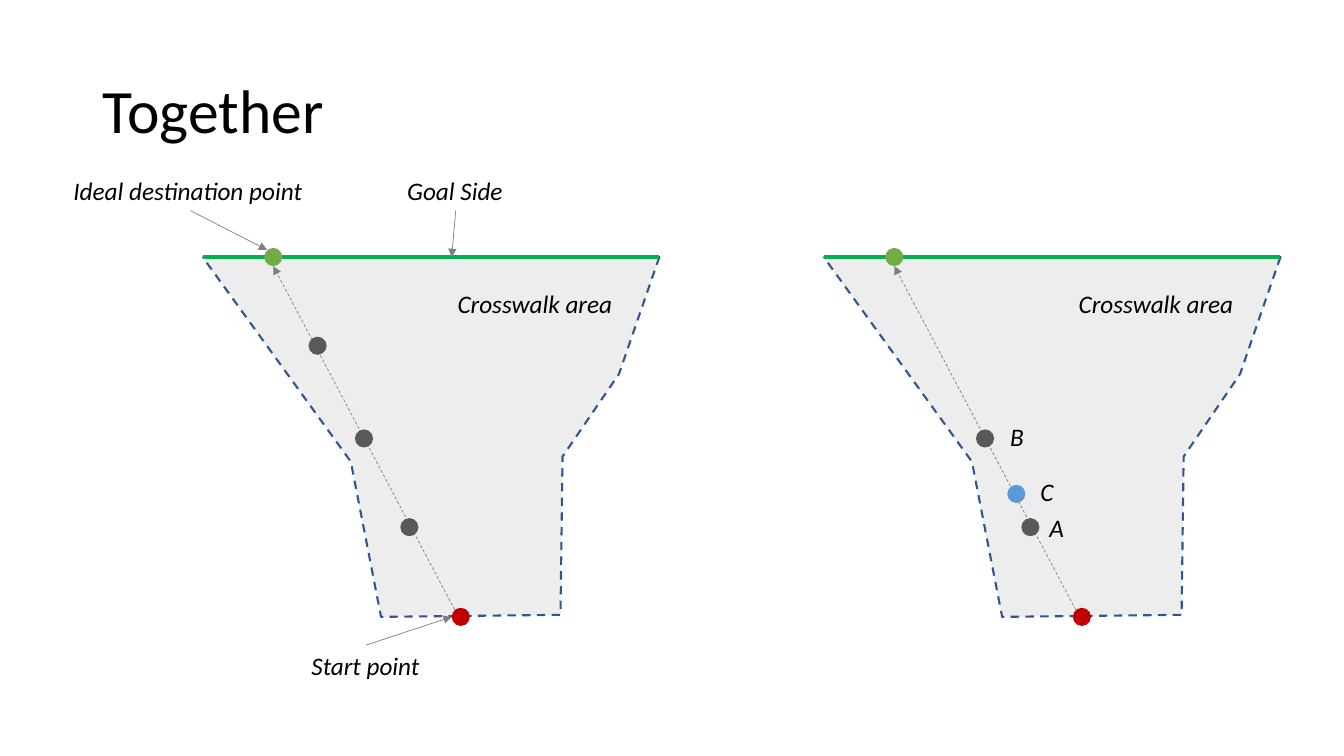
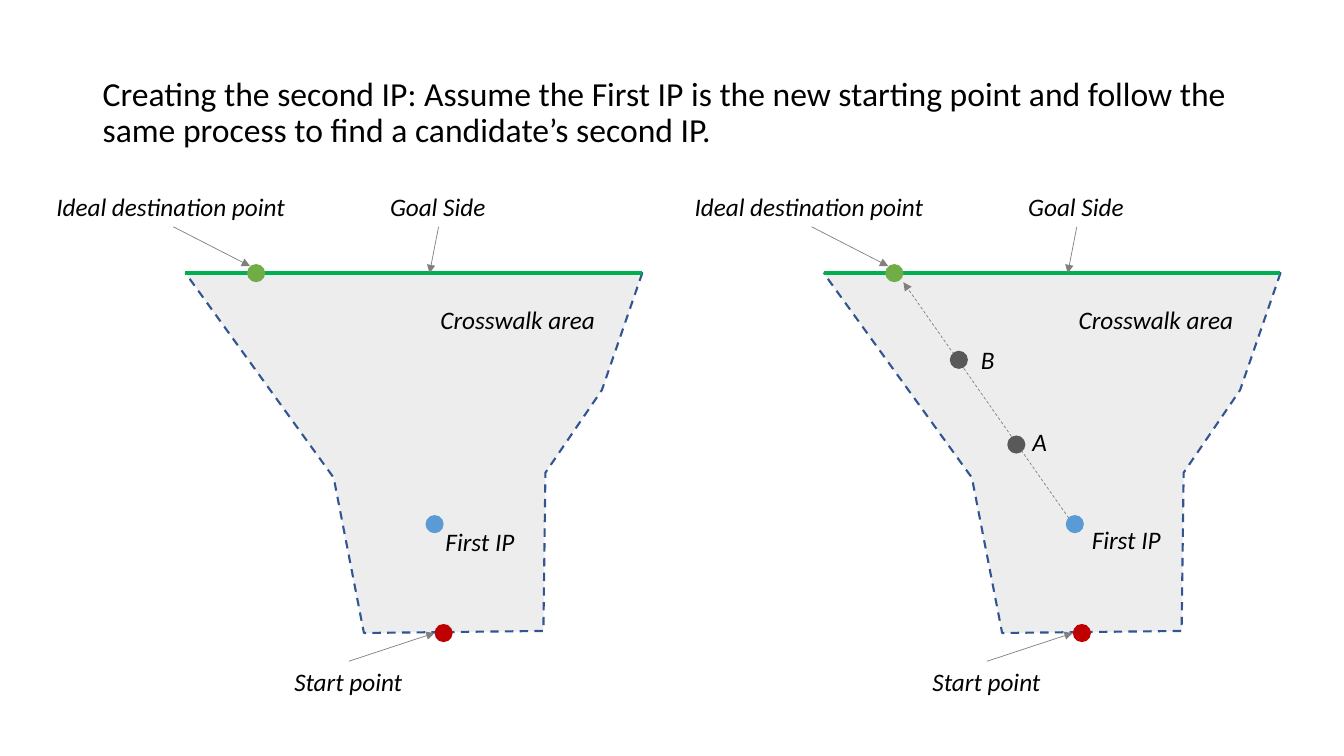
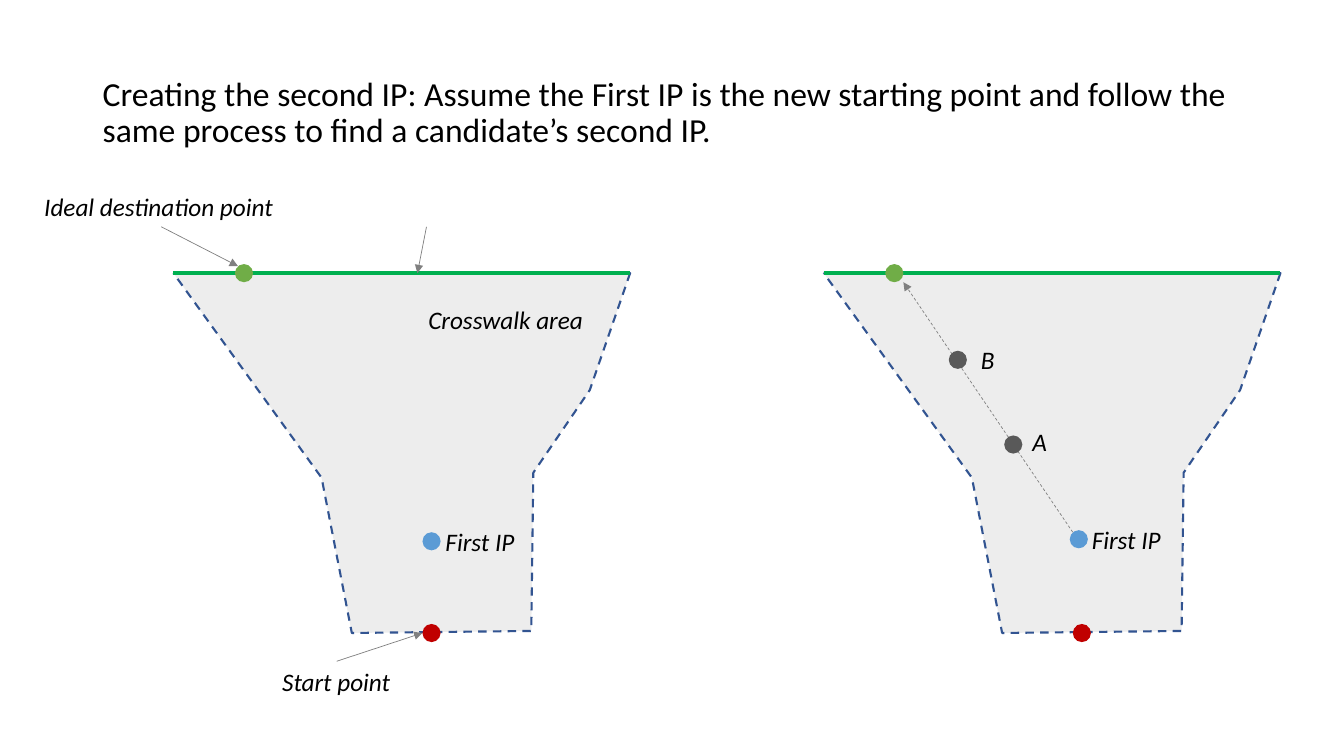
from lxml import etree
from pptx import Presentation
from pptx.dml.color import RGBColor
from pptx.enum.dml import MSO_LINE
from pptx.enum.shapes import MSO_CONNECTOR, MSO_SHAPE
from pptx.enum.text import MSO_ANCHOR, MSO_AUTO_SIZE, PP_ALIGN
from pptx.oxml.ns import qn
from pptx.util import Inches, Pt

DASH = MSO_LINE.DASH
LINE = MSO_CONNECTOR.STRAIGHT
OVAL = MSO_SHAPE.OVAL
MIDDLE = MSO_ANCHOR.MIDDLE
GROW = MSO_AUTO_SIZE.SHAPE_TO_FIT_TEXT
LEFT, CENTER = PP_ALIGN.LEFT, PP_ALIGN.CENTER

BLACK, GRAY, DARK = "000000", "808080", "595959"
RED, GREEN, LIME, BLUE = "C00000", "00B050", "70AD47", "5B9BD5"
NAVY, PALE = "325491", "EDEDED"

DOT = 0.18
WIDE = 4.53
RIGHT = 8.17
AREA = [(0, 0), (WIDE, 0), (4.13, 1.16), (3.57, 1.98),
        (3.55, 3.55), (1.77, 3.57), (1.47, 2.03)]
HEAD = {"wrap": True, "frame": {"vertical_anchor": MIDDLE},
        "para": {"line_spacing": 0.9}, "font": {"name": "Calibri"}}
NOTE = {"wrap": False, "frame": {"auto_size": GROW}, "para": {"alignment": LEFT},
        "font": {"name": "Calibri", "size": Pt(18), "italic": True}}
MID = {**NOTE, "para": {"alignment": CENTER}}

TAGS = {
    "Start point": (0.98, 3.85, 1.29, NOTE),
    "Crosswalk area": (2.42, 0.26, 1.75, MID),
    "Goal Side": (1.93, -0.86, 1.16, NOTE),
    "Ideal destination point": (-1.38, -0.86, 2.52, NOTE),
}
START, CROSS, GOAL, IDEAL = TAGS
ARROWS = {
    START: ((1.62, 3.85), (2.47, 3.57)),
    GOAL: ((2.51, -0.46), (2.42, 0)),
    IDEAL: ((-0.12, -0.46), (0.64, -0.07)),
}
ALL = [START, CROSS, GOAL, IDEAL]
POINTS = [START, GOAL, IDEAL]
SECOND = ("Creating the second IP: Assume the First IP is the new starting point "
          "and follow the same process to find a candidate’s second IP.")
RAY = ((2.5, 3.5), (0.7, 0.09))
NEXT = [("A", 1.97, 1.47, 0.35), ("B", 1.46, 0.66, 0.34), ("First IP", 2.56, 2.44, 0.89)]

SLIDES = [
    {"title": "Together", "size": 44, "top": 2.55, "tip": 2.47, "panels": [
        {"left": 2.01, "tags": ALL, "arrows": POINTS, "ray": RAY, "notes": [],
         "dots": [(1.96, 2.59, DARK), (1.51, 1.71, DARK), (1.05, 0.79, DARK)]},
        {"left": RIGHT, "tags": [CROSS], "arrows": [], "ray": RAY,
         "notes": [("A", 2.14, 2.48, 0.35), ("B", 1.75, 1.58, 0.34), ("C", 2.05, 2.13, 0.33)],
         "dots": [(1.96, 2.59, DARK), (1.51, 1.71, DARK), (1.82, 2.26, BLUE)]},
    ]},
    {"title": SECOND, "size": 24, "top": 2.71, "tip": 2.42, "panels": [
        {"left": 1.84, "tags": ALL, "arrows": POINTS, "ray": None,
         "notes": [("First IP", 2.48, 2.46, 0.89)], "dots": [(2.38, 2.4, BLUE)]},
        {"left": RIGHT, "tags": ALL, "arrows": POINTS,
         "ray": ((2.43, 2.43), (0.79, 0.09)), "notes": NEXT,
         "dots": [(1.82, 1.61, DARK), (1.25, 0.77, DARK), (2.4, 2.4, BLUE)]},
    ]},
    {"title": SECOND, "size": 24, "top": 2.71, "tip": 2.42, "panels": [
        {"left": 1.72, "tags": [START, CROSS, IDEAL], "arrows": POINTS, "ray": None,
         "notes": [("First IP", 2.6, 2.46, 0.89)], "dots": [(2.47, 2.57, BLUE)]},
        {"left": RIGHT, "tags": [], "arrows": [],
         "ray": ((2.47, 2.57), (0.79, 0.09)), "notes": NEXT,
         "dots": [(1.79, 1.61, DARK), (1.24, 0.77, DARK), (2.44, 2.55, BLUE)]},
    ]},
]


def tint(part, code):
    if hasattr(part, "solid"):
        part.solid()
        part = part.fore_color
    else:
        part = part.color
    part.rgb = RGBColor.from_string(code)


def link(slide, ends, code, width, dash=None, arrow=True):
    points = [Inches(n) for end in ends for n in end]
    wire = slide.shapes.add_connector(LINE, *points)
    tint(wire.line, code)
    wire.line.width = Pt(width)
    if dash:
        wire.line.dash_style = dash
    props = wire._element.spPr
    if arrow:
        etree.SubElement(props.find(qn("a:ln")), qn("a:tailEnd"), type="triangle")
    etree.SubElement(props, qn("a:effectLst"))


deck = Presentation()
deck.slide_width, deck.slide_height = Inches(13.33), Inches(7.5)

for page in SLIDES:
    slide = deck.slides.add_slide(deck.slide_layouts[6])
    shapes = slide.shapes
    top = page["top"]
    head = {**HEAD, "font": {**HEAD["font"], "size": Pt(page["size"])}}
    texts = [(page["title"], 0.92, 0.4, 11.5, 1.45, head)]

    for panel in page["panels"]:
        left = panel["left"]
        edge = [(Inches(left + x), Inches(top + y)) for x, y in AREA]
        pen = shapes.build_freeform(*edge[0])
        pen.add_line_segments(edge[1:], close=True)
        area = pen.convert_to_shape()
        area.shadow.inherit = False
        tint(area.fill, PALE)
        tint(area.line, NAVY)
        area.line.width = Pt(1.5)
        area.line.dash_style = DASH
        link(slide, ((left, top), (left + WIDE, top)), GREEN, 3, arrow=False)

        lines = [(ARROWS[name], None) for name in panel["arrows"]]
        if panel["ray"]:
            lines.append((panel["ray"], DASH))
        for ends, dash in lines:
            if ends == ARROWS[GOAL]:
                ends = (ends[0], (page["tip"], 0))
            link(slide, [(left + x, top + y) for x, y in ends], GRAY, 0.5, dash)

        for x, y, code in [(2.47, 3.48, RED), (0.61, -0.09, LIME)] + panel["dots"]:
            dot = shapes.add_shape(OVAL, Inches(left + x), Inches(top + y), Inches(DOT), Inches(DOT))
            dot.shadow.inherit = False
            tint(dot.fill, code)
            dot.line.fill.background()

        notes = [(name, *TAGS[name]) for name in panel["tags"]]
        notes += [(*note, NOTE) for note in panel["notes"]]
        texts += [(text, left + x, top + y, w, 0.4, style) for text, x, y, w, style in notes]

    for text, x, y, w, h, style in texts:
        box = shapes.add_textbox(Inches(x), Inches(y), Inches(w), Inches(h))
        frame = box.text_frame
        frame.word_wrap = style["wrap"]
        para = frame.paragraphs[0]
        run = para.add_run()
        run.text = text
        for part, key in ((frame, "frame"), (para, "para"), (run.font, "font")):
            for name, value in style[key].items():
                setattr(part, name, value)
        tint(run.font, BLACK)

deck.save("out.pptx")
